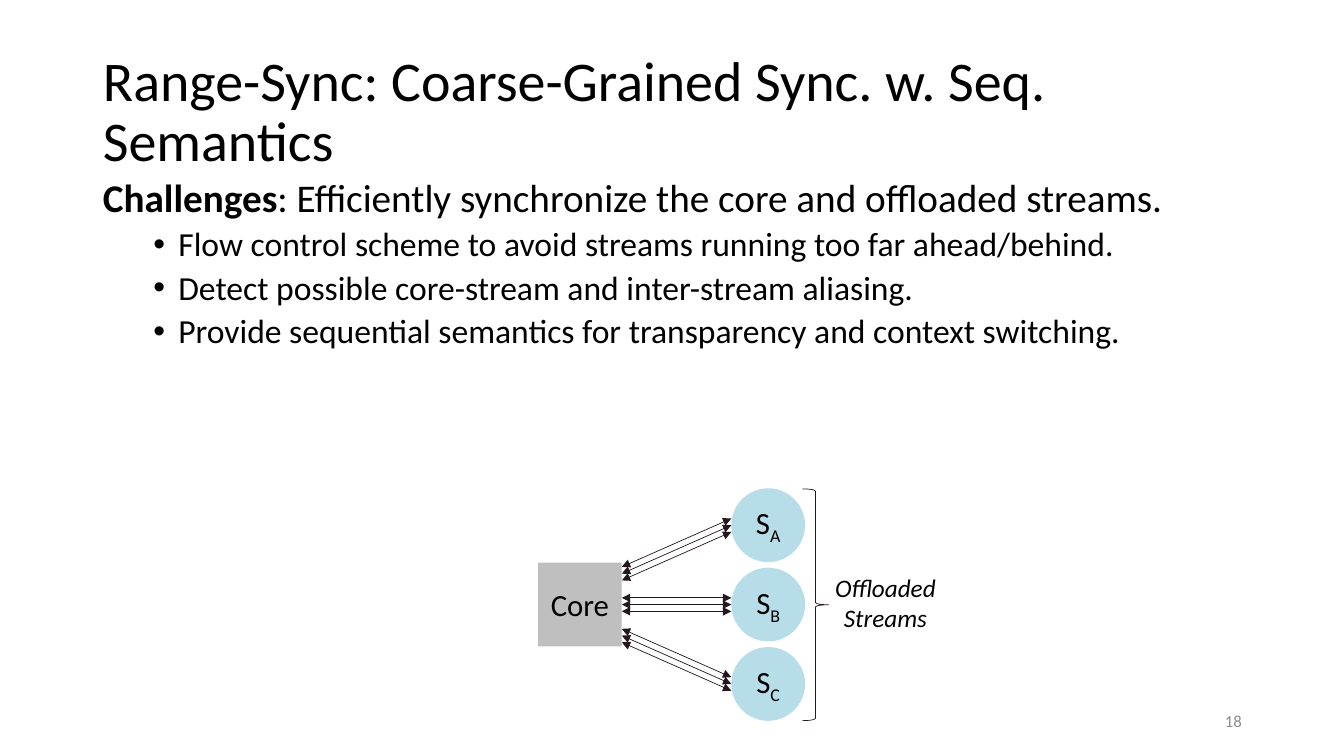
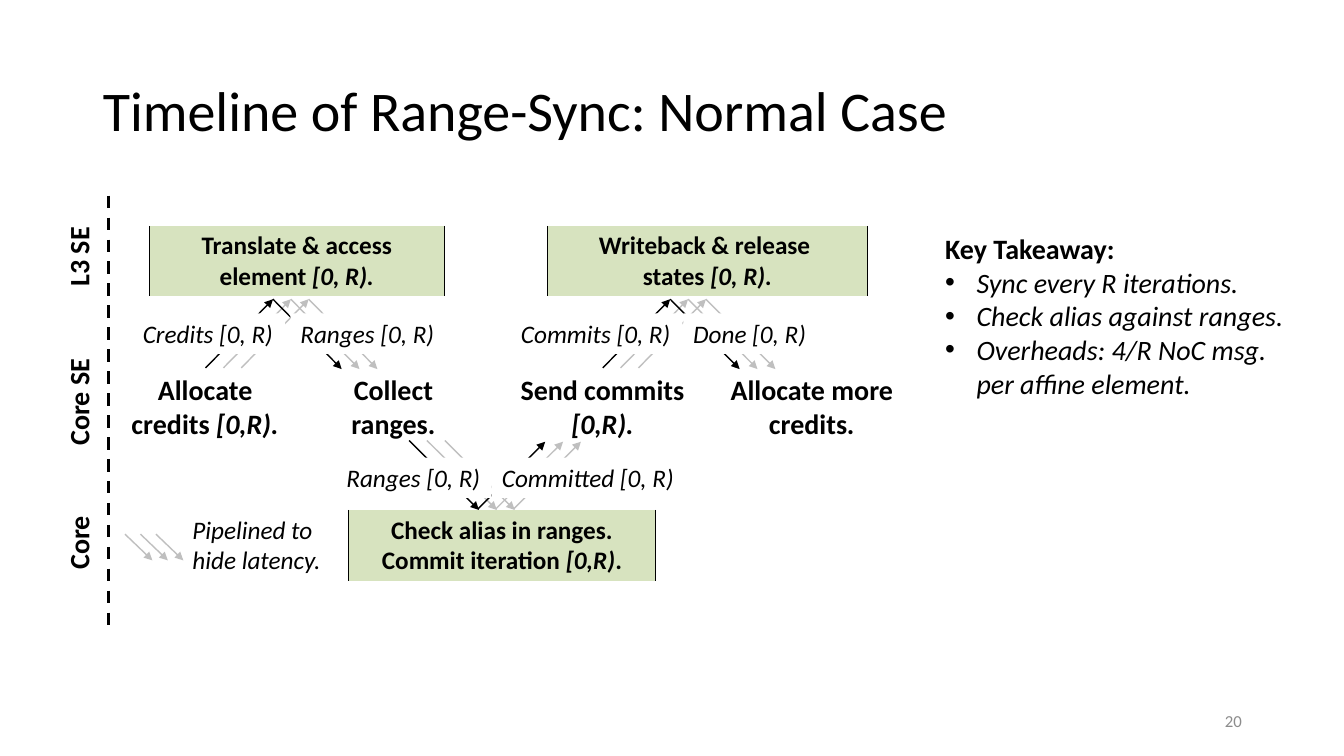
from dataclasses import dataclass

from lxml import etree
from pptx import Presentation
from pptx.dml.color import RGBColor
from pptx.enum.dml import MSO_LINE
from pptx.enum.shapes import MSO_CONNECTOR, MSO_SHAPE
from pptx.enum.text import MSO_ANCHOR, MSO_AUTO_SIZE, PP_ALIGN
from pptx.oxml.ns import qn
from pptx.util import Cm, Pt

LEFT, CENTER, RIGHT = PP_ALIGN.LEFT, PP_ALIGN.CENTER, PP_ALIGN.RIGHT
TOP, MIDDLE = MSO_ANCHOR.TOP, MSO_ANCHOR.MIDDLE
STRAIGHT = MSO_CONNECTOR.STRAIGHT
RIGHT_SIDE = 3


@dataclass(frozen=True)
class Theme:
    font: str = "Calibri"
    ink: str = "000000"
    paper: str = "FFFFFF"
    number: str = "8C8C8C"
    core: str = "BFBFBF"
    stream: str = "B7DDE8"
    wire: str = "25181C"
    later: str = "BFBFBF"
    stage: str = "D7E3BF"
    title_size: int = 40
    lead_size: int = 28
    point_size: int = 24
    node_size: int = 22
    label_size: int = 20
    caption_size: int = 18
    number_size: int = 12


THEME = Theme()

TITLE_BOX = (2.34, 1.02, 30.07, 3.68)
NUMBER_BOX = (23.93, 17.65, 7.62, 1.02)

SYNC_TITLE = "Range-Sync: Coarse-Grained Sync. w. Seq. Semantics"
CHALLENGE_BOX = (2.34, 4.37, 30.91, 12.09)
CHALLENGE = [("Challenges", "b"),
             (": Efficiently synchronize the core and offloaded streams.", "")]
CHALLENGE_POINTS = [
    "Flow control scheme to avoid streams running too far ahead/behind.",
    "Detect possible core-stream and inter-stream aliasing.",
    "Provide sequential semantics for transparency and context switching.",
]
STREAMS = "ABC"
CORE_BOX = (13.56, 14.18, 2.11, 2.11)
STREAM_LEFT, STREAM_SIZE, STREAM_PITCH = 18.43, 1.86, 2.0
PORT_PITCH, WIRE_GAP = 0.78, 0.17
BRACE_BOX = (20.22, 12.32, 0.66, 5.84)
OFFLOADED_BOX = (20.65, 14.3, 3.33, 1.8)

TIMELINE_TITLE = "Timeline of Range-Sync: Normal Case"
LANE_LEFT, LANE_WIDTH = 1.42, 1.37
LANES = [("L3 SE", 5.69, 1.78), ("Core SE", 9.02, 2.46), ("Core", 12.98, 1.63)]
LANE_AXIS = (2.74, 4.93, 2.74, 15.88)

STAGE_HEIGHT = 1.78
STAGES = [
    (3.76, 5.69, 7.44, [[("Translate & access element ", "b"), ("[0, R).", "bi")]]),
    (8.79, 12.85, 7.72, ["Check alias in ranges.",
                         [("Commit iteration ", "b"), ("[0,R)", "bi"), (".", "b")]]),
    (13.79, 5.69, 8.08, ["Writeback & release ",
                         [("states ", "b"), ("[0, R).", "bi")]]),
]
ACTION_TOP, ACTION_HEIGHT = 9.27, 1.96
ACTIONS = [
    (3.0, 4.34, [("Allocate credits ", "b"), ("[0,R).", "bi")]),
    (8.1, 3.63, "Collect ranges."),
    (12.85, 4.67, [("Send commits ", "b"), ("[0,R).", "bi")]),
    (18.16, 4.6, [("Allocate more credits", "b"), (".", "bi")]),
]
MESSAGE_STEP, LEGEND_STEP = 0.45, 0.39
MESSAGES = [
    (5.18, 9.27, 6.88, 7.54), (6.88, 7.54, 8.61, 9.3),
    (10.31, 11.1, 12.07, 12.85), (12.04, 12.83, 13.74, 11.13),
    (15.19, 9.27, 16.89, 7.54), (16.89, 7.54, 18.64, 9.3),
]
LEGEND_MESSAGE = (3.15, 13.46, 3.84, 14.12)
LEGEND_BOX = (4.6, 12.83, 3.81, 1.8)
LEGEND = ["Pipelined to", "hide latency."]
UPPER, LOWER, CAPTION_HEIGHT = 7.9, 11.53, 1.02
CAPTIONS = [
    ("Credits [0, R)", 3.35, UPPER, 3.84), ("Ranges [0, R)", 7.32, UPPER, 3.91),
    ("Ranges [0, R)", 8.48, LOWER, 3.91), ("Committed [0, R)", 12.4, LOWER, 4.9),
    ("Commits [0, R)", 12.88, UPPER, 4.32), ("Done [0, R)", 17.22, UPPER, 3.4),
]
TAKEAWAY_BOX = (23.57, 5.49, 9.32, 4.93)
TAKEAWAYS = ["Sync every R iterations.", "Check alias against ranges.",
             "Overheads: 4/R NoC msg. per affine element."]


def rgb(color):
    return RGBColor.from_string(color)


def lengths(values):
    return [Cm(value) for value in values]


def set_font(font, style):
    font.bold = "b" in style
    font.italic = "i" in style


def write_paragraph(paragraph, content, size, style="", align=LEFT, color=THEME.ink):
    paragraph.alignment = align
    font = paragraph.font
    font.name, font.size = THEME.font, Pt(size)
    font.color.rgb = rgb(color)
    if isinstance(content, str):
        paragraph.add_run().text = content
        set_font(font, style)
        return
    for text, run_style in content:
        run = paragraph.add_run()
        run.text = text
        set_font(run.font, run_style)
        if "sub" in run_style:
            run.font.bold = False
            run._r.get_or_add_rPr().set("baseline", "-25000")


def next_paragraph(frame):
    first = frame.paragraphs[0]
    return frame.add_paragraph() if first.runs else first


def write(frame, contents, size, style="", align=LEFT, color=THEME.ink):
    for content in contents:
        write_paragraph(next_paragraph(frame), content, size, style, align, color)


def set_bullet(paragraph, margin, hanging, char=None):
    props = paragraph._p.get_or_add_pPr()
    props.set("marL", str(Cm(margin)))
    props.set("indent", str(-Cm(hanging)))
    if char:
        etree.SubElement(props, qn("a:buFont")).set("typeface", "Arial")
        etree.SubElement(props, qn("a:buChar")).set("char", char)
    else:
        etree.SubElement(props, qn("a:buNone"))


def add_text(slide, box, contents, size, style="", align=LEFT, color=THEME.ink,
             anchor=TOP, wrap=True):
    label = slide.shapes.add_textbox(*lengths(box))
    frame = label.text_frame
    frame.word_wrap = wrap
    frame.vertical_anchor = anchor
    write(frame, contents, size, style, align, color)
    return label


def add_node(slide, kind, box, fill, content):
    node = slide.shapes.add_shape(kind, *lengths(box))
    node.shadow.inherit = False
    node.fill.solid()
    node.fill.fore_color.rgb = rgb(fill)
    node.line.fill.background()
    frame = node.text_frame
    frame.margin_left = frame.margin_right = 0
    frame.vertical_anchor = MIDDLE
    write(frame, [content], THEME.node_size, align=CENTER)
    return node


def add_line(slide, ends, color, width, arrows=()):
    line = slide.shapes.add_connector(STRAIGHT, *lengths(ends))
    line.line.color.rgb = rgb(color)
    line.line.width = Pt(width)
    for end in arrows:
        etree.SubElement(line.line._get_or_add_ln(), qn(end)).set("type", "triangle")
    etree.SubElement(line._element.spPr, qn("a:effectLst"))
    return line


def add_messages(slide, ends, step, colors):
    x1, y1, x2, y2 = ends
    for i, color in enumerate(colors):
        shift = i * step
        add_line(slide, (x1 + shift, y1, x2 + shift, y2), color, 1, ["a:tailEnd"])


def add_stage(slide, left, top, width, contents):
    box = lengths((left, top, width, STAGE_HEIGHT))
    stage = slide.shapes.add_table(1, 1, *box).table
    stage.first_row = stage.horz_banding = False
    cell = stage.cell(0, 0)
    props = cell._tc.get_or_add_tcPr()
    for side in ("a:lnL", "a:lnR", "a:lnT", "a:lnB"):
        border = etree.SubElement(props, qn(side), w=str(Pt(1)))
        if side in ("a:lnL", "a:lnR"):
            solid = etree.SubElement(border, qn("a:solidFill"))
            etree.SubElement(solid, qn("a:srgbClr")).set("val", THEME.ink)
        else:
            etree.SubElement(border, qn("a:noFill"))
    cell.fill.solid()
    cell.fill.fore_color.rgb = rgb(THEME.stage)
    write(cell.text_frame, contents, THEME.caption_size, "b", CENTER)


def place(holder, box):
    holder.left, holder.top, holder.width, holder.height = lengths(box)
    holder.text_frame.auto_size = MSO_AUTO_SIZE.NONE
    return holder.text_frame


def start_slide(deck, layout, title, number):
    slide = deck.slides.add_slide(deck.slide_layouts[layout])
    frame = place(slide.shapes.title, TITLE_BOX)
    frame.vertical_anchor = MIDDLE
    write(frame, [title], THEME.title_size)
    frame.paragraphs[0].line_spacing = 0.9
    add_text(slide, NUMBER_BOX, [number], THEME.number_size, align=RIGHT,
             color=THEME.number, anchor=MIDDLE)
    return slide


def build_sync(deck):
    slide = start_slide(deck, 1, SYNC_TITLE, "18")
    frame = place(slide.placeholders[1], CHALLENGE_BOX)
    for i, content in enumerate([CHALLENGE] + CHALLENGE_POINTS):
        paragraph = next_paragraph(frame)
        if i:
            paragraph.level = 1
            set_bullet(paragraph, 1.9, 0.63, "•")
        else:
            set_bullet(paragraph, 0, 0)
        paragraph.line_spacing = 0.9
        paragraph.space_before = Pt(5 if i else 10)
        write_paragraph(paragraph, content, THEME.point_size if i else THEME.lead_size)

    core = add_node(slide, MSO_SHAPE.RECTANGLE, CORE_BOX, THEME.core, "Core")
    core_right = CORE_BOX[0] + CORE_BOX[2]
    core_middle = CORE_BOX[1] + CORE_BOX[3] / 2
    for i, stream in enumerate(STREAMS):
        rank = i - len(STREAMS) // 2
        middle = core_middle + rank * STREAM_PITCH
        box = (STREAM_LEFT, middle - STREAM_SIZE / 2, STREAM_SIZE, STREAM_SIZE)
        add_node(slide, MSO_SHAPE.OVAL, box, THEME.stream, [("S", ""), (stream, "sub")])
        for wire in (-1, 0, 1):
            shift = wire * WIRE_GAP
            port = core_middle + rank * PORT_PITCH + shift
            link = add_line(slide, (core_right, port, STREAM_LEFT, middle + shift),
                            THEME.wire, 0.5, ["a:headEnd", "a:tailEnd"])
            if rank == wire == 0:
                link.begin_connect(core, RIGHT_SIDE)

    brace = slide.shapes.add_shape(MSO_SHAPE.RIGHT_BRACE, *lengths(BRACE_BOX))
    brace.shadow.inherit = False
    brace.fill.background()
    brace.line.color.rgb = rgb(THEME.wire)
    brace.line.width = Pt(0.5)
    add_text(slide, OFFLOADED_BOX, ["Offloaded Streams"], THEME.caption_size, "i", CENTER)


def build_timeline(deck):
    slide = start_slide(deck, 5, TIMELINE_TITLE, "20")
    for lane, top, height in LANES:
        label = add_text(slide, (LANE_LEFT, top, LANE_WIDTH, height), [lane],
                         THEME.label_size, "b", wrap=False)
        label.text_frame._txBody.bodyPr.set("vert", "vert270")
    add_line(slide, LANE_AXIS, THEME.ink, 2.25).line.dash_style = MSO_LINE.DASH

    for left, width, content in ACTIONS:
        add_text(slide, (left, ACTION_TOP, width, ACTION_HEIGHT), [content],
                 THEME.label_size, "b", CENTER)
    for stage in STAGES:
        add_stage(slide, *stage)
    for ends in MESSAGES:
        add_messages(slide, ends, MESSAGE_STEP, (THEME.ink, THEME.later, THEME.later))
    add_messages(slide, LEGEND_MESSAGE, LEGEND_STEP, [THEME.later] * 3)
    add_text(slide, LEGEND_BOX, LEGEND, THEME.caption_size, "i", wrap=False)
    for text, left, top, width in CAPTIONS:
        caption = add_text(slide, (left, top, width, CAPTION_HEIGHT), [text],
                           THEME.caption_size, "i", wrap=False)
        caption.fill.solid()
        caption.fill.fore_color.rgb = rgb(THEME.paper)

    takeaway = add_text(slide, TAKEAWAY_BOX, ["Key Takeaway:"], THEME.label_size, "b",
                        anchor=MIDDLE).text_frame
    for point in TAKEAWAYS:
        paragraph = takeaway.add_paragraph()
        set_bullet(paragraph, 0.79, 0.79, "•")
        write_paragraph(paragraph, point, THEME.label_size, "i")


def main():
    deck = Presentation()
    deck.slide_width, deck.slide_height = Cm(33.87), Cm(19.05)
    build_sync(deck)
    build_timeline(deck)
    deck.save("out.pptx")


if __name__ == "__main__":
    main()
